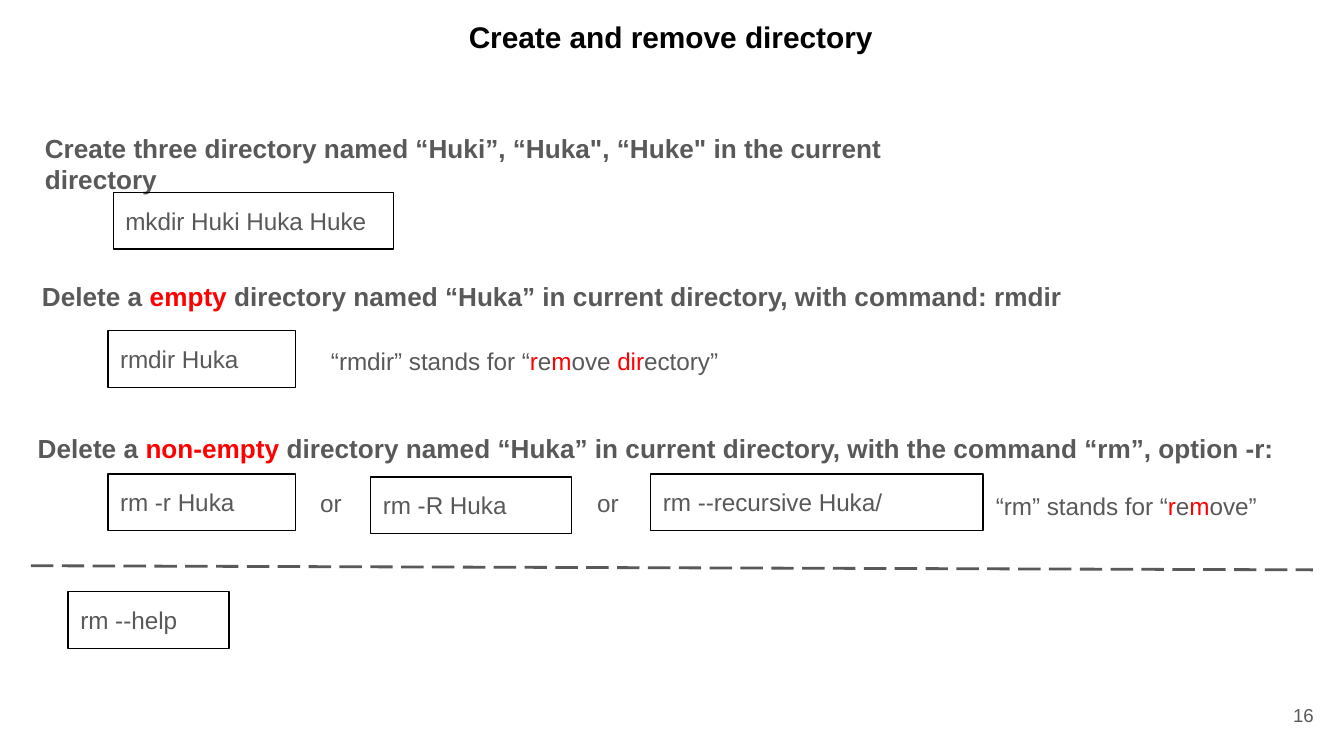
from lxml import etree
from pptx import Presentation
from pptx.dml.color import RGBColor
from pptx.enum import dml, shapes, text
from pptx.oxml.ns import qn
from pptx.util import Pt

GRAY, RED, BLACK = "595959", "FF0000", "000000"
BOX_HEIGHT = 30.3


def color(hex_code):
    return RGBColor.from_string(hex_code)


def write(frame, marked, size, bold=False, ink=GRAY, left=0.7, top=1.8):
    """Fill a text frame; parts between | marks are red."""
    frame.word_wrap = True
    frame.auto_size = text.MSO_AUTO_SIZE.NONE
    frame.vertical_anchor = text.MSO_ANCHOR.TOP
    frame.margin_left, frame.margin_top = Pt(left), Pt(top)
    frame.margin_right = frame.margin_bottom = 0
    paragraph = frame.paragraphs[0]
    paragraph.alignment = text.PP_ALIGN.LEFT
    for index, part in enumerate(marked.split("|")):
        run = paragraph.add_run()
        run.text = part
        run.font.name = "Arial"
        run.font.size = Pt(size)
        run.font.bold = bold
        run.font.color.rgb = color(RED if index % 2 else ink)
    return paragraph


def add_title(slide, wording):
    title = slide.shapes.title
    title.left, title.top, title.width, title.height = Pt(16.5), Pt(8), Pt(685), Pt(37.4)
    paragraph = write(title.text_frame, wording, 16, bold=True, ink=BLACK)
    paragraph.alignment = text.PP_ALIGN.CENTER


def add_label(slide, x, y, width, wording, size=13, bold=False):
    label = slide.shapes.add_textbox(Pt(x), Pt(y), Pt(width), Pt(size * 1.32))
    write(label.text_frame, wording, size, bold)


def add_command(slide, x, y, width, command):
    box = slide.shapes.add_shape(shapes.MSO_SHAPE.RECTANGLE,
                                 Pt(x), Pt(y), Pt(width), Pt(BOX_HEIGHT))
    box.shadow.inherit = False
    box.fill.background()
    box.line.color.rgb = color(BLACK)
    box.line.width = Pt(0.75)
    write(box.text_frame, command, 13, left=6.5, top=7)


def add_divider(slide, x1, y1, x2, y2):
    divider = slide.shapes.add_connector(shapes.MSO_CONNECTOR.STRAIGHT,
                                         Pt(x1), Pt(y1), Pt(x2), Pt(y2))
    divider.line.color.rgb = color(GRAY)
    divider.line.width = Pt(1.5)
    divider.line.dash_style = dml.MSO_LINE.LONG_DASH
    etree.SubElement(divider._element.spPr, qn("a:effectLst"))


def main():
    deck = Presentation()
    deck.slide_width, deck.slide_height = Pt(720), Pt(405)
    slide = deck.slides.add_slide(deck.slide_layouts[5])

    add_title(slide, "Create and remove directory")

    headings = [
        (23.3, 69, 500, "Create three directory named “Huki”, “Huka\", “Huke\" "
                        "in the current directory"),
        (21.8, 148.5, 556, "Delete a |empty| directory named “Huka” in current "
                           "directory, with command: rmdir"),
        (19.5, 230, 680, "Delete a |non-empty| directory named “Huka” in current "
                         "directory, with the command “rm”, option -r:"),
    ]
    for x, y, width, wording in headings:
        add_label(slide, x, y, width, wording, 14, bold=True)

    commands = [
        (60.7, 103.2, 150, "mkdir Huki Huka Huke"),
        (57.8, 177.2, 100.6, "rmdir Huka"),
        (57.8, 254, 100.6, "rm -r Huka"),
        (198.6, 255.6, 107.5, "rm -R Huka"),
        (348.6, 254, 178, "rm --recursive Huka/"),
        (36.5, 317, 86.2, "rm --help"),
    ]
    for x, y, width, command in commands:
        add_command(slide, x, y, width, command)

    remarks = [
        (176.6, 183.4, 218, "“rmdir” stands for “|r|e|m|ove |dir|ectory”"),
        (532.8, 261.6, 152, "“rm” stands for “|r|e|m|ove”"),
        (170.8, 259.7, 16, "or"),
        (319.2, 259.7, 16, "or"),
    ]
    for x, y, width, wording in remarks:
        add_label(slide, x, y, width, wording)

    add_divider(slide, 16.6, 303.1, 703.4, 305.3)
    add_label(slide, 692, 375.5, 18, "16", 10)

    deck.save("out.pptx")


if __name__ == "__main__":
    main()
